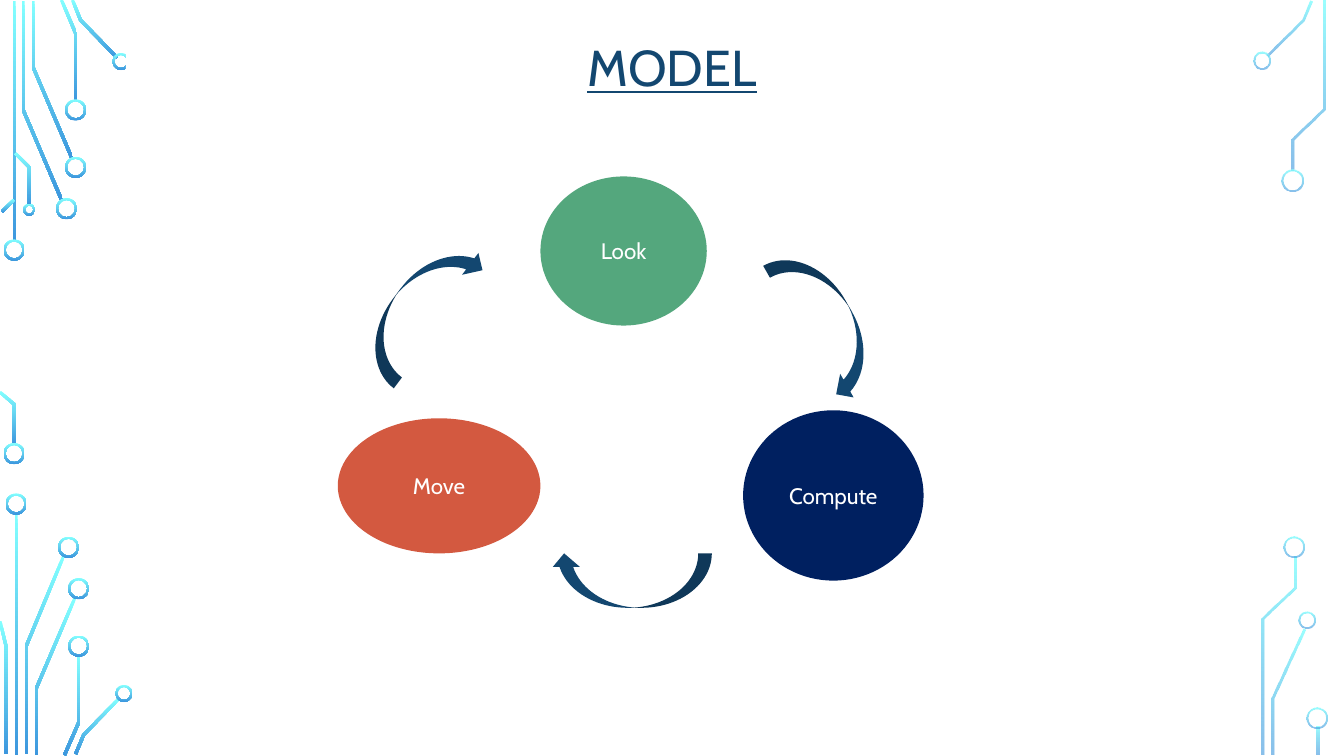
from dataclasses import dataclass
from math import hypot

from lxml import etree
from pptx import Presentation
from pptx import util as u
from pptx.dml.color import RGBColor
from pptx.enum import shapes, text
from pptx.oxml.ns import qn

# All places and lengths are columns and rows of a one-inch grid.
COLUMNS, ROWS = 13.33, 7.5

TITLE = ("MODEL", (1.25, 0.09, 10.83, 1.22))

STAGES = [  # wording, colour name, left, top, width, height
    ("Move", "move", (3.35, 4.15, 2.01, 1.34)),
    ("Look", "look", (5.36, 1.75, 1.65, 1.48)),
    ("Compute", "compute", (7.37, 4.07, 1.79, 1.69)),
]

ARROW_SIZE = (0.54, 1.6)
ARROWS = [  # left, top, rotation
    (3.9, 2.25, 216.9),
    (7.93, 2.4, 330.4),
    (5.99, 4.96, 90),
]

# Circuit traces are centre lines; pads are (centre x, centre y, diameter).
LEFT_CIRCUIT = {
    "traces": [
        [(0.14, 0.01), (0.14, 2.4)],
        [(0.23, 0.01), (0.23, 1.09), (0.61, 1.98)],
        [(0.33, 0.01), (0.33, 0.67), (0.71, 1.56)],
        [(0.61, 0), (0.75, 0.33), (0.75, 1)],
        [(0.72, 0), (0.8, 0.2), (1.16, 0.57)],
        [(0.02, 2.1), (0.14, 1.98)],
        [(0, 3.89), (0.14, 4.01), (0.14, 4.41)],
        [(0.15, 1.52), (0.29, 1.66), (0.29, 2.03)],
        [(0.16, 5.1), (0.16, 7.49)],
        [(0.63, 5.52), (0.26, 6.41), (0.26, 7.48)],
        [(0, 6.16), (0.06, 6.41), (0.06, 7.48)],
        [(0.74, 5.94), (0.36, 6.83), (0.36, 7.49)],
        [(0.78, 6.5), (0.78, 7.17), (0.64, 7.49)],
        [(1.18, 6.93), (0.83, 7.29), (0.75, 7.48)],
    ],
    "pads": [
        (0.14, 2.48, 0.21), (0.14, 4.5, 0.21), (0.66, 2.07, 0.21),
        (0.75, 1.66, 0.21), (0.75, 1.09, 0.21), (1.2, 0.61, 0.17),
        (0.29, 2.08, 0.12), (0.16, 5, 0.21), (0.68, 5.43, 0.21),
        (0.78, 5.84, 0.21), (0.78, 6.41, 0.21), (1.23, 6.88, 0.17),
    ],
}
RIGHT_CIRCUIT = {
    "traces": [
        [(12.57, 0.55), (12.92, 0.2), (13, 0.01)],
        [(12.93, 6.24), (12.63, 6.93), (12.63, 7.49)],
        [(13.13, 0.01), (13.13, 1.08), (12.82, 1.38), (12.82, 1.69)],
        [(12.84, 5.52), (12.84, 5.83), (12.53, 6.14), (12.53, 7.49)],
        [(13.07, 7.21), (13.07, 7.49)],
    ],
    "pads": [
        (12.52, 0.6, 0.17), (12.82, 1.79, 0.21), (12.96, 6.15, 0.17),
        (12.83, 5.43, 0.21), (13.06, 7.12, 0.21),
    ],
}
CIRCUITS = [(LEFT_CIRCUIT, (100, 100)), (RIGHT_CIRCUIT, (80, 60))]
TRACE_WIDTH = 0.03
RING_WIDTH = 0.02


@dataclass(frozen=True)
class Theme:
    font: str = "Cabin"
    title_size: int = 36
    stage_size: int = 16
    white: str = "FFFFFF"
    ink: str = "134770"
    move: str = "D35940"
    look: str = "54A77D"
    compute: str = "002060"
    circuit: tuple = ("82FFFF", "3D97DE")


THEME = Theme()


def paint(shape, colour):
    shape.shadow.inherit = False
    shape.line.fill.background()
    shape.fill.solid()
    shape.fill.fore_color.rgb = RGBColor.from_string(colour)


def paint_circuit(shape, opacities):
    """Fill from light at the top to dark at the bottom, opacities in percent."""
    shape.shadow.inherit = False
    shape.line.fill.background()
    shape.fill.gradient()
    shape.fill.gradient_angle = 270
    for stop, colour, opacity in zip(shape.fill.gradient_stops, THEME.circuit, opacities):
        stop.color.rgb = RGBColor.from_string(colour)
    if min(opacities) < 100:
        tones = shape._element.spPr.iter(qn("a:srgbClr"))
        for tone, opacity in zip(list(tones), opacities):
            etree.SubElement(tone, qn("a:alpha")).set("val", str(opacity * 1000))


def add_preset(page, kind, area):
    return page.shapes.add_shape(kind, *(u.Inches(length) for length in area))


def write(box, wording, size, colour, underline=None):
    frame = box.text_frame
    frame.word_wrap = True
    frame.vertical_anchor = text.MSO_ANCHOR.MIDDLE
    para = frame.paragraphs[0]
    para.alignment = text.PP_ALIGN.CENTER
    span = para.add_run()
    span.text = wording
    span.font.name = THEME.font
    span.font.size = u.Pt(size)
    span.font.underline = underline
    span.font.color.rgb = RGBColor.from_string(colour)


def trace_outline(points):
    """Widen a centre line into a closed band with mitred corners."""
    normals = []
    for (x1, y1), (x2, y2) in zip(points, points[1:]):
        length = hypot(x2 - x1, y2 - y1)
        normals.append(((y1 - y2) / length, (x2 - x1) / length))
    before, after = normals[:1] + normals, normals + normals[-1:]
    near, far = [], []
    for (x, y), (ax, ay), (bx, by) in zip(points, before, after):
        reach = TRACE_WIDTH / 2 / (1 + ax * bx + ay * by)
        dx, dy = (ax + bx) * reach, (ay + by) * reach
        near.append((x + dx, y + dy))
        far.append((x - dx, y - dy))
    return near + far[::-1]


def add_circuit(page, circuit, opacities):
    for trace in circuit["traces"]:
        corners = [(u.Inches(x), u.Inches(y)) for x, y in trace_outline(trace)]
        builder = page.shapes.build_freeform(*corners[0])
        builder.add_line_segments(corners[1:], close=True)
        paint_circuit(builder.convert_to_shape(), opacities)
    for x, y, size in circuit["pads"]:
        area = (x - size / 2, y - size / 2, size, size)
        pad = add_preset(page, shapes.MSO_SHAPE.DONUT, area)
        pad.adjustments[0] = RING_WIDTH / size
        paint_circuit(pad, opacities)


def main():
    deck = Presentation()
    deck.slide_width, deck.slide_height = u.Inches(COLUMNS), u.Inches(ROWS)
    page = deck.slides.add_slide(deck.slide_layouts[6])

    for circuit, opacities in CIRCUITS:
        add_circuit(page, circuit, opacities)

    wording, area = TITLE
    title = add_preset(page, shapes.MSO_SHAPE.RECTANGLE, area)
    paint(title, THEME.white)
    write(title, wording, THEME.title_size, THEME.ink, underline=True)
    title.text_frame.paragraphs[0].line_spacing = 0.9

    for wording, colour, area in STAGES:
        stage = add_preset(page, shapes.MSO_SHAPE.OVAL, area)
        paint(stage, getattr(THEME, colour))
        write(stage, wording, THEME.stage_size, THEME.white)

    for left, top, rotation in ARROWS:
        arrow = add_preset(page, shapes.MSO_SHAPE.CURVED_LEFT_ARROW, (left, top, *ARROW_SIZE))
        arrow.rotation = rotation
        paint(arrow, THEME.ink)

    deck.save("out.pptx")


if __name__ == "__main__":
    main()
